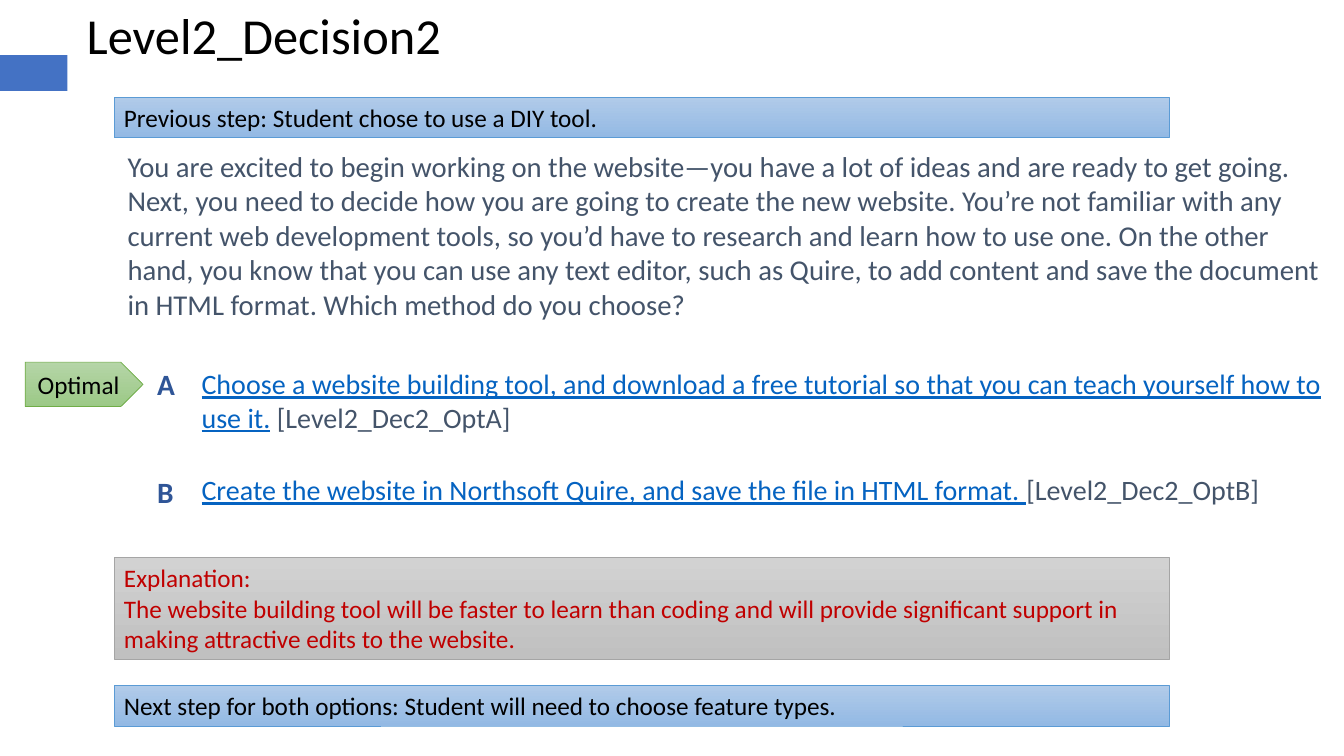
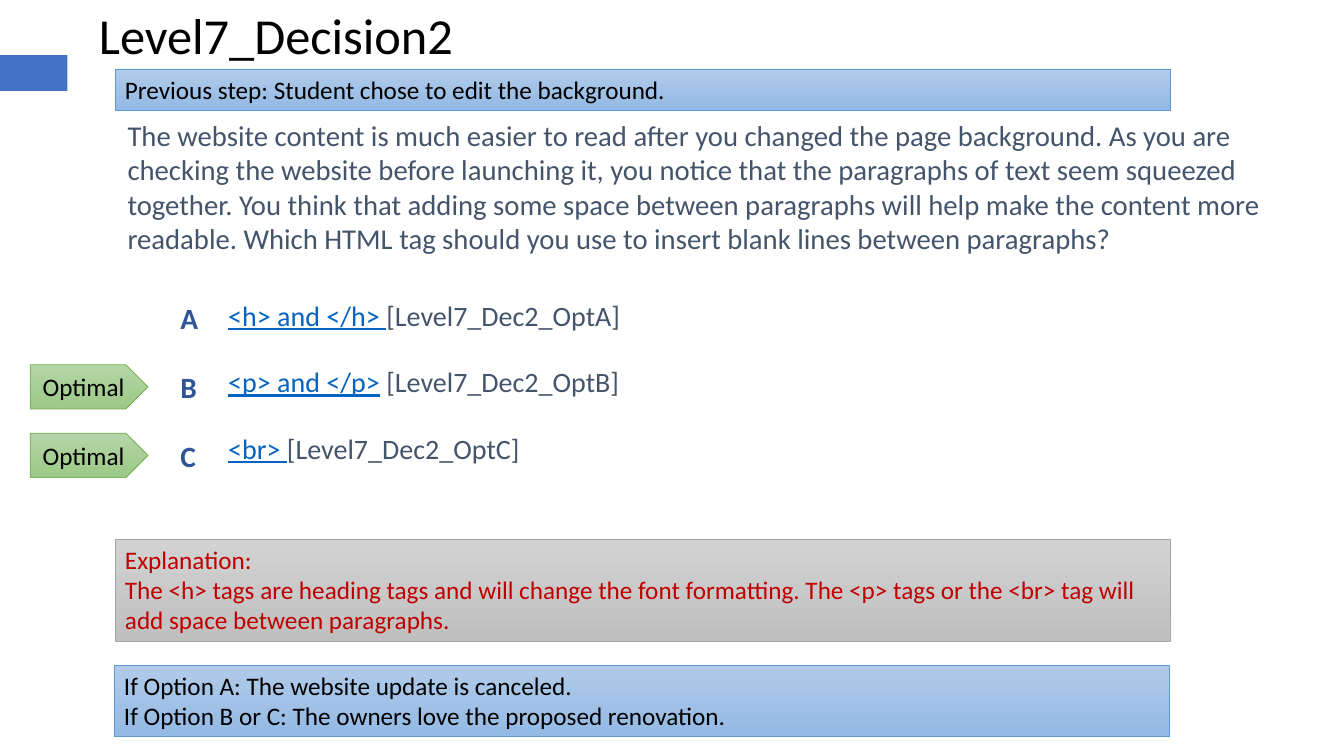
from collections import namedtuple

from pptx import Presentation
from pptx.dml.color import RGBColor
from pptx.enum.shapes import MSO_SHAPE
from pptx.enum.text import MSO_ANCHOR, MSO_AUTO_SIZE, PP_ALIGN
from pptx.util import Pt

RECTANGLE, PENTAGON = MSO_SHAPE.RECTANGLE, MSO_SHAPE.PENTAGON
TOP, MIDDLE = MSO_ANCHOR.TOP, MSO_ANCHOR.MIDDLE
LEFT, CENTER = PP_ALIGN.LEFT, PP_ALIGN.CENTER
NO_FIT = MSO_AUTO_SIZE.NONE

FONT = "Calibri"
BLACK = RGBColor(0x00, 0x00, 0x00)
SLATE = RGBColor(0x44, 0x54, 0x6A)
LINK_BLUE = RGBColor(0x05, 0x63, 0xC1)
LETTER_BLUE = RGBColor(0x2F, 0x55, 0x97)
RED = RGBColor(0xC0, 0x00, 0x00)
TAB_BLUE = RGBColor(0x44, 0x72, 0xC4)

Style = namedtuple("Style", "size colour bold underline", defaults=(False, False))
TITLE = Style(36, BLACK)
STORY = Style(20.5, SLATE)
CHOICE = Style(20, LINK_BLUE, underline=True)
TARGET = Style(20, SLATE)
LETTER = Style(21, LETTER_BLUE, bold=True)
LABEL = Style(18, BLACK)
REASON = Style(18, RED)

Paint = namedtuple("Paint", "start end line")
BLUE = Paint(RGBColor(0xB1, 0xCB, 0xE9), RGBColor(0x93, 0xB9, 0xE4), RGBColor(0x5B, 0x9B, 0xD5))
GREY = Paint(RGBColor(0xD2, 0xD2, 0xD2), RGBColor(0xC0, 0xC0, 0xC0), RGBColor(0xA5, 0xA5, 0xA5))
GREEN = Paint(RGBColor(0xB5, 0xD5, 0xA7), RGBColor(0x9C, 0xC9, 0x87), RGBColor(0x70, 0xAD, 0x47))

Box = namedtuple("Box", "left top width height")
Answers = namedtuple("Answers", "box gap letter_left letter_top pitch badge_left options")
Option = namedtuple("Option", "choice target optimal")

PANEL_WIDTH = 753.8
BADGE_WIDTH, BADGE_HEIGHT = 84.2, 31.7


def in_points(box):
    """Return the four lengths of a box as points."""
    return [Pt(length) for length in box]


def write(frame, paragraphs, align=LEFT, anchor=TOP, gap=0):
    """Fill a text frame with paragraphs made of (text, style) spans."""
    frame.vertical_anchor = anchor
    for number, spans in enumerate(paragraphs):
        para = frame.add_paragraph() if number else frame.paragraphs[0]
        para.alignment = align
        para.space_before = Pt(gap if number else 0)
        for text, style in spans:
            span = para.add_run()
            span.text = text
            span.font.name = FONT
            span.font.size = Pt(style.size)
            span.font.color.rgb = style.colour
            span.font.bold = style.bold
            span.font.underline = style.underline


def add_text(page, box, paragraphs, gap=0):
    """Place a wrapping text box with wide insets."""
    frame = page.shapes.add_textbox(*in_points(box)).text_frame
    frame.word_wrap = True
    frame.margin_left = frame.margin_right = Pt(9.6)
    frame.margin_top = frame.margin_bottom = Pt(4.8)
    write(frame, paragraphs, gap=gap)


def add_panel(page, box, paint, lines, style, kind=RECTANGLE, align=LEFT, anchor=TOP):
    """Place a shape with a vertical gradient, a thin outline and text."""
    panel = page.shapes.add_shape(kind, *in_points(box))
    panel.shadow.inherit = False
    panel.fill.gradient()
    panel.fill.gradient_angle = 270
    for stop, colour in zip(panel.fill.gradient_stops, (paint.start, paint.end)):
        stop.color.rgb = colour
    panel.line.color.rgb = paint.line
    panel.line.width = Pt(0.5)
    panel.text_frame.word_wrap = True
    write(panel.text_frame, [[(line, style)] for line in lines], align, anchor)


def add_title(page, left, text):
    """Move and fill the title placeholder."""
    title = page.shapes.title
    title.left, title.top, title.width, title.height = in_points((left, -0.7, 268, 51))
    title.text_frame.word_wrap = False
    title.text_frame.auto_size = NO_FIT
    write(title.text_frame, [[(text, TITLE)]])


def add_answers(page, answers):
    """Place the lettered options and badge the optimal ones."""
    paragraphs = [[(option.choice, CHOICE), (option.target, TARGET)] for option in answers.options]
    add_text(page, answers.box, paragraphs, answers.gap)
    for number, option in enumerate(answers.options):
        top = answers.letter_top + number * answers.pitch
        add_text(page, Box(answers.letter_left, top, 50, 32), [[("ABC"[number], LETTER)]])
        if option.optimal:
            badge = Box(answers.badge_left, top + 1.7, BADGE_WIDTH, BADGE_HEIGHT)
            add_panel(page, badge, GREEN, ["Optimal"], LABEL, PENTAGON, CENTER, MIDDLE)


def add_decision(deck, title, previous, story, answers, reason, following):
    """Add one decision slide; each region brings its own position."""
    page = deck.slides.add_slide(deck.slide_layouts[5])
    add_title(page, *title)
    add_text(page, story[0], [[(story[1], STORY)]])
    add_answers(page, answers)
    for (left, top, height, lines), paint, style in (
        (previous, BLUE, LABEL),
        (reason, GREY, REASON),
        (following, BLUE, LABEL),
    ):
        add_panel(page, Box(left, top, PANEL_WIDTH, height), paint, lines, style)
    return page


def share_side_tab(deck, page):
    """Draw the side tab and hand it to the layout that all slides use."""
    tab = page.shapes.add_shape(RECTANGLE, *in_points((0, 39.5, 48.2, 25.4)))
    tab.shadow.inherit = False
    tab.fill.solid()
    tab.fill.fore_color.rgb = TAB_BLUE
    tab.line.fill.background()
    deck.slide_layouts[5].shapes.element.append(tab.element)


def main():
    """Build both decision slides and save the deck."""
    deck = Presentation()
    deck.slide_width, deck.slide_height = Pt(960), Pt(540)
    page = add_decision(
        deck,
        title=(54.7, "Level2_Decision2"),
        previous=(81.5, 69.3, 29.1, ["Previous step: Student chose to use a DIY tool."]),
        story=(
            Box(81.5, 101.5, 878.4, 146),
            "You are excited to begin working on the website—you have a lot of ideas and are ready "
            "to get going. Next, you need to decide how you are going to create the new website. "
            "You’re not familiar with any current web development tools, so you’d have to research "
            "and learn how to use one. On the other hand, you know that you can use any text "
            "editor, such as Quire, to add content and save the document in HTML format. Which "
            "method do you choose?",
        ),
        answers=Answers(
            Box(134.4, 257, 824.6, 146), 27.7, 102.7, 257, 77, 18,
            [
                Option(
                    "Choose a website building tool, and download a free tutorial so that you can "
                    "teach yourself how to use it.",
                    " [Level2_Dec2_OptA]",
                    True,
                ),
                Option(
                    "Create the website in Northsoft Quire, and save the file in HTML format. ",
                    "[Level2_Dec2_OptB]",
                    False,
                ),
            ],
        ),
        reason=(81.5, 398.3, 72.7, [
            "Explanation:",
            "The website building tool will be faster to learn than coding and will provide "
            "significant support in making attractive edits to the website.",
        ]),
        following=(81.5, 489.5, 29.1, [
            "Next step for both options: Student will need to choose feature types.",
        ]),
    )
    share_side_tab(deck, page)
    add_decision(
        deck,
        title=(63.4, "Level7_Decision2"),
        previous=(82.2, 49.4, 29.1, ["Previous step: Student chose to edit the background."]),
        story=(
            Box(81.5, 79.4, 878.4, 124.6),
            "The website content is much easier to read after you changed the page background. As "
            "you are checking the website before launching it, you notice that the paragraphs of "
            "text seem squeezed together. You think that adding some space between paragraphs will "
            "help make the content more readable. Which HTML tag should you use to insert blank "
            "lines between paragraphs?",
        ),
        answers=Answers(
            Box(153.4, 208.3, 463.7, 151.2), 23.5, 119.2, 209.8, 49, 21.6,
            [
                Option("<h> and </h> ", "[Level7_Dec2_OptA]", False),
                Option("<p> and </p>", " [Level7_Dec2_OptB]", True),
                Option("<br> ", "[Level7_Dec2_OptC]", True),
            ],
        ),
        reason=(82.2, 385.2, 72.7, [
            "Explanation:",
            "The <h> tags are heading tags and will change the font formatting. The <p> tags or "
            "the <br> tag will add space between paragraphs.",
        ]),
        following=(81.5, 475.3, 50.9, [
            "If Option A: The website update is canceled.",
            "If Option B or C: The owners love the proposed renovation.",
        ]),
    )
    deck.save("out.pptx")


if __name__ == "__main__":
    main()
